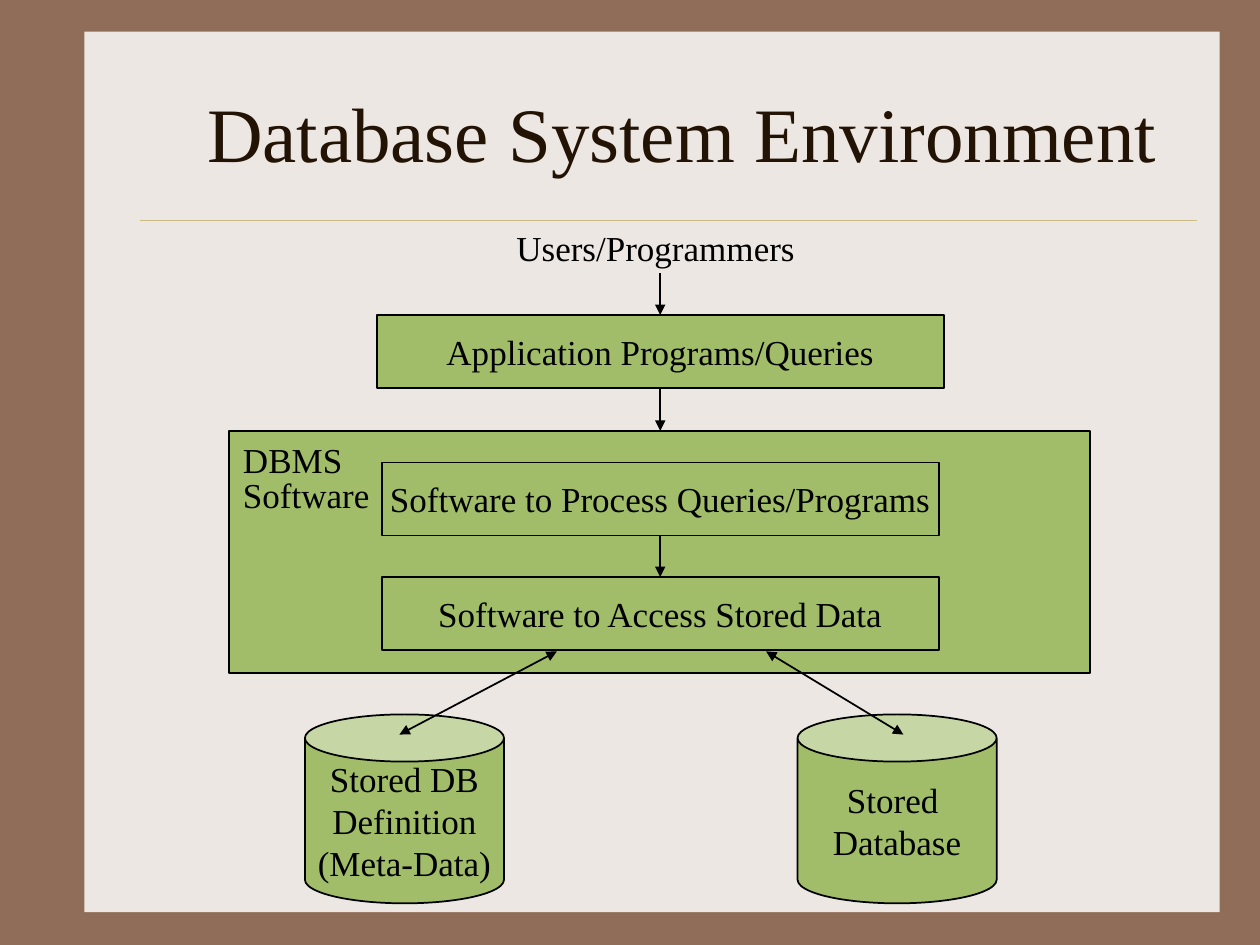
from lxml.etree import SubElement
from pptx import Presentation
from pptx.dml.color import RGBColor
from pptx.enum.shapes import MSO_CONNECTOR, MSO_SHAPE as Shape
from pptx.enum.text import MSO_ANCHOR as Anchor, PP_ALIGN as Align
from pptx.oxml.ns import qn
from pptx.util import Inches, Pt

BROWN = RGBColor(0x90, 0x6D, 0x58)
PAPER = RGBColor(0xED, 0xE7, 0xE3)
GOLD = RGBColor(0xCB, 0xBD, 0x83)
DARK = RGBColor(0x22, 0x13, 0x04)
GREEN = RGBColor(0xA1, 0xBD, 0x69)
BLACK = RGBColor(0, 0, 0)
FONT = "Times New Roman"
CENTER_X = 5.24
BOX_HEIGHT = 0.58


def write(frame, lines, size=20, color=BLACK, align=Align.CENTER,
          anchor=Anchor.MIDDLE, wrap=False, spacings=()):
    """Fill a text frame with one paragraph per line."""
    frame.word_wrap = wrap
    frame.vertical_anchor = anchor
    for index, line in enumerate(lines):
        paragraph = frame.paragraphs[0] if index == 0 else frame.add_paragraph()
        paragraph.alignment = align
        if spacings:
            paragraph.line_spacing = spacings[index]
        run = paragraph.add_run()
        run.text = line
        run.font.name = FONT
        run.font.size = Pt(size)
        run.font.color.rgb = color


def add_label(slide, bounds, lines, **style):
    """Add text without a frame."""
    label = slide.shapes.add_textbox(*map(Inches, bounds))
    write(label.text_frame, lines, wrap=True, **style)


def add_block(slide, kind, bounds, lines=(), fill=GREEN, outline=BLACK):
    """Add a filled shape with centred lines of text."""
    block = slide.shapes.add_shape(kind, *map(Inches, bounds))
    block.shadow.inherit = False
    block.fill.solid()
    block.fill.fore_color.rgb = fill
    if outline is None:
        block.line.fill.background()
    else:
        block.line.color.rgb = outline
        block.line.width = Pt(1)
    write(block.text_frame, lines)


def add_line(slide, start, end, ends=(), color=BLACK, width=1):
    """Add a straight line with triangles at the named ends."""
    line = slide.shapes.add_connector(
        MSO_CONNECTOR.STRAIGHT, *map(Inches, (*start, *end)))
    line.line.color.rgb = color
    line.line.width = Pt(width)
    outline = line.line._get_or_add_ln()
    for end_name in ends:
        SubElement(outline, qn(f"a:{end_name}"), type="triangle")
    SubElement(line._element.spPr, qn("a:effectLst"))


def add_centered_box(slide, top, width, text):
    """Add a software box on the vertical axis of the diagram."""
    bounds = (CENTER_X - width / 2, top, width, BOX_HEIGHT)
    add_block(slide, Shape.RECTANGLE, bounds, [text])


def add_backdrop(slide):
    """Draw the page, its title and the rule below."""
    slide.background.fill.solid()
    slide.background.fill.fore_color.rgb = BROWN
    add_block(slide, Shape.RECTANGLE, (0.67, 0.25, 9.01, 6.99),
              fill=PAPER, outline=None)
    add_line(slide, (1.11, 1.75), (9.5, 1.75), color=GOLD, width=0.25)
    add_label(slide, (1.33, 0.42, 8.17, 1.25), ["Database System Environment"],
              size=44, color=DARK)


def main():
    """Build the database system diagram."""
    deck = Presentation()
    deck.slide_width, deck.slide_height = Inches(10), Inches(7.5)
    slide = deck.slides.add_slide(deck.slide_layouts[6])
    add_backdrop(slide)

    add_label(slide, (4, 1.75, 2.5, 0.44), ["Users/Programmers"],
              align=Align.LEFT, anchor=Anchor.TOP)
    add_centered_box(slide, 2.5, 4.5, "Application Programs/Queries")
    add_block(slide, Shape.RECTANGLE, (1.82, 3.42, 6.83, 1.92))
    add_centered_box(slide, 3.67, 4.42, "Software to Process Queries/Programs")
    add_centered_box(slide, 4.58, 4.42, "Software to Access Stored Data")
    add_label(slide, (1.83, 3.47, 1.25, 0.67), ["DBMS", "Software"],
              align=Align.LEFT, anchor=Anchor.TOP, spacings=(0.9, 0.8))

    stores = [
        (2.42, 3.17, 4.42, ["Stored DB", "Definition", "(Meta-Data)"]),
        (6.33, 7.17, 6.08, ["Stored ", "Database"]),
    ]
    for left, store_x, access_x, lines in stores:
        add_block(slide, Shape.CAN, (left, 5.67, 1.58, 1.5), lines)
        add_line(slide, (store_x, 5.83), (access_x, 5.17), ("headEnd", "tailEnd"))

    for top, bottom in [(2.17, 2.5), (3.08, 3.42), (4.25, 4.58)]:
        add_line(slide, (CENTER_X, top), (CENTER_X, bottom), ("tailEnd",))

    deck.save("out.pptx")


if __name__ == "__main__":
    main()
